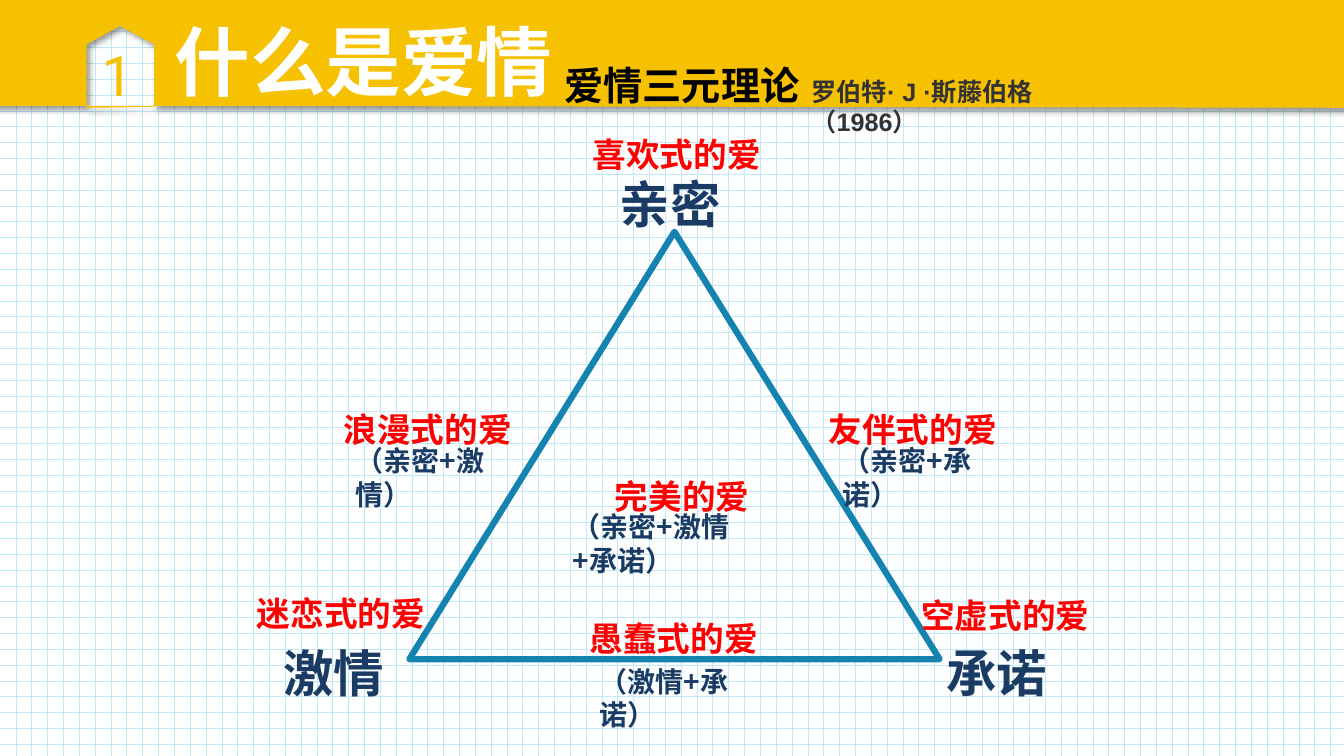
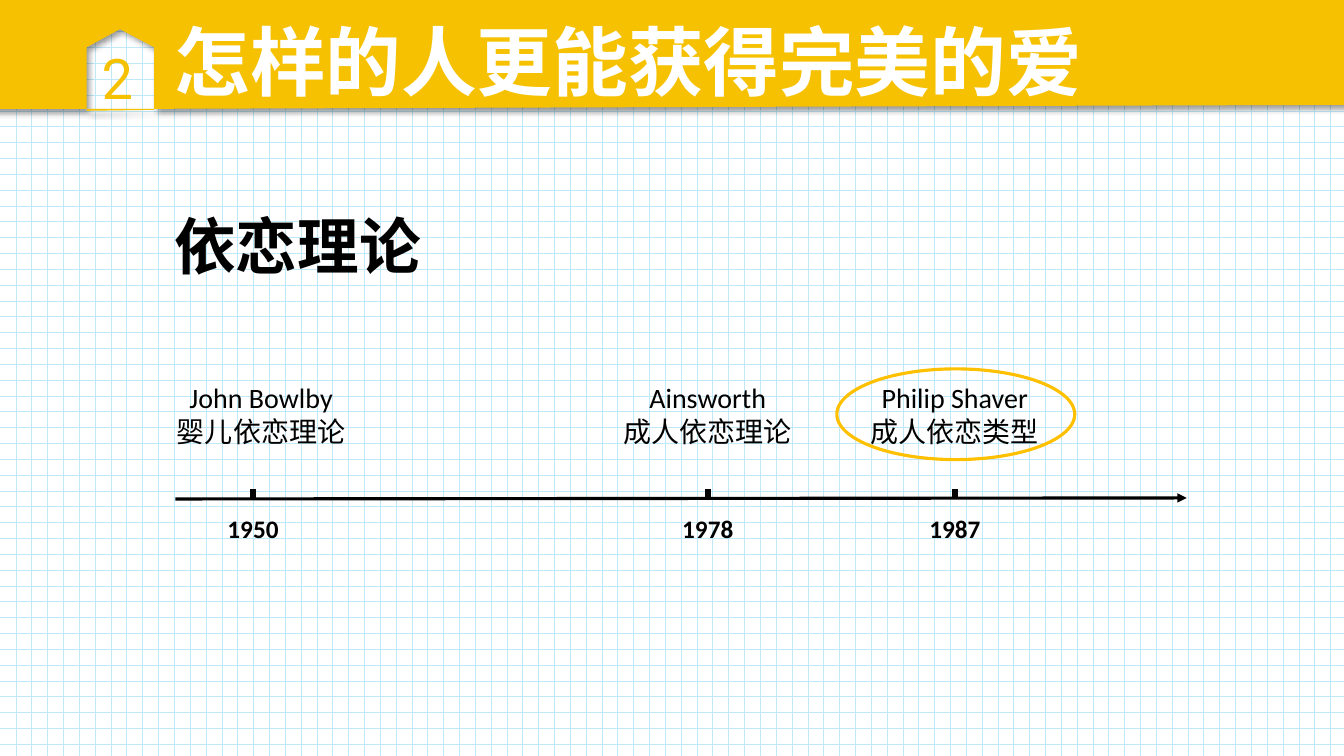
"""Build two slides on theories of love and attachment."""
import dataclasses

import pptx
import pptx.dml.color
import pptx.enum.dml
import pptx.enum.shapes
import pptx.enum.text
import pptx.oxml
import pptx.oxml.ns
import pptx.util
from lxml import etree

Inches = pptx.util.Inches
Pt = pptx.util.Pt
RGB = pptx.dml.color.RGBColor.from_string
ALIGN = pptx.enum.text.PP_ALIGN
SHAPE = pptx.enum.shapes.MSO_SHAPE
qn = pptx.oxml.ns.qn


@dataclasses.dataclass(frozen=True)
class Theme:
    band: str = "F6C100"
    grid: str = "C0E8F8"
    white: str = "FFFFFF"
    black: str = "000000"
    tick: str = "050505"
    grey: str = "333333"
    red: str = "FF0000"
    navy: str = "1A3B64"
    triangle: str = "1483B0"
    ring: str = "FFC000"
    cjk: str = "Noto Sans CJK SC"
    label: str = "Noto Sans CJK JP"
    head: str = "Arial"
    body: str = "Calibri"
    digit: str = "Roboto"
    title_size: int = 54
    heading_size: int = 44
    number_size: int = 40
    vertex_size: int = 36
    subtitle_size: int = 28
    love_size: int = 24
    text_size: int = 20
    small_size: int = 18


T = Theme()

LOVE = dict(size=T.love_size, font=T.label, color=T.red, bold=True)
VERTEX = dict(size=T.vertex_size, font=T.cjk, color=T.navy, bold=True)
MIX = dict(size=T.text_size, font=T.label, color=T.navy, bold=True)

TITLES = [("1", "什么是爱情", 1.05, 1.07), ("2", "怎样的人更能获得完美的爱", 1.08, 1.04)]

TRIANGLE_TEXTS = [
    (LOVE, 2.2, 0.47, [("喜欢式的爱", 5.78, 1.28), ("浪漫式的爱", 3.31, 4.01),
                       ("友伴式的爱", 8.12, 4.01), ("完美的爱", 6, 4.67),
                       ("迷恋式的爱", 2.45, 5.83), ("空虚式的爱", 9.04, 5.85),
                       ("愚蠢式的爱", 5.75, 6.08)]),
    (VERTEX, 1.37, 0.66, [("亲密", 6.05, 1.67), ("激情", 2.71, 6.32), ("承诺", 9.29, 6.32)]),
    (MIX, 1.64, 0.44, [("（亲密+激情）", 3.43, 4.35), ("（亲密+承诺）", 8.26, 4.35),
                       ("（激情+承诺）", 5.85, 6.54)]),
    (MIX, 1.9, 0.44, [("（亲密+激情+承诺）", 5.58, 5.01)]),
]

EVENTS = [("1950", 2.51, 2.59, ["John Bowlby", "婴儿依恋理论"]),
          ("1978", 7.02, 7.02, ["Ainsworth", "成人依恋理论"]),
          ("1987", 9.47, 9.47, ["Philip Shaver", "成人依恋类型"])]
AXIS_Y = 4.95


def put_text(s, lines, x, y, w, h, size, font, color, bold=False, align=ALIGN.LEFT, shape=None):
    sp = shape or s.shapes.add_textbox(0, 0, 0, 0)
    sp.left, sp.top, sp.width, sp.height = (Inches(v) for v in (x, y, w, h))
    tf = sp.text_frame
    tf.word_wrap = True
    tf.auto_size = pptx.enum.text.MSO_AUTO_SIZE.NONE
    tf.vertical_anchor = pptx.enum.text.MSO_ANCHOR.TOP
    for i, line in enumerate([lines] if isinstance(lines, str) else lines):
        p = tf.add_paragraph() if i else tf.paragraphs[0]
        p.alignment = align
        r = p.add_run()
        r.text = line
        r.font.size, r.font.name, r.font.bold = Pt(size), font, bold
        r.font.color.rgb = RGB(color)
    east = font if font == T.label else T.cjk
    for latin in list(sp.element.iter(qn("a:latin"))):
        ea = etree.Element(qn("a:ea"), typeface=east)
        latin.addnext(ea)
    return sp


def add_line(s, x1, y1, x2, y2, color, width):
    sp = s.shapes.add_connector(pptx.enum.shapes.MSO_CONNECTOR.STRAIGHT,
                                Inches(x1), Inches(y1), Inches(x2), Inches(y2))
    sp.line.color.rgb, sp.line.width = RGB(color), Pt(width)
    etree.SubElement(sp.element.spPr, qn("a:effectLst"))
    return sp


def add_outline(s, kind, x, y, w, h, color, width):
    sp = s.shapes.add_shape(kind, Inches(x), Inches(y), Inches(w), Inches(h))
    sp.shadow.inherit = False
    sp.fill.background()
    sp.line.color.rgb, sp.line.width = RGB(color), Pt(width)
    return sp


def add_band(s, left_y, right_y):
    contour = [(-0.27, -0.43), (13.6, -0.43), (13.6, right_y), (1.53, left_y),
               (1.53, left_y - 0.61), (1.19, left_y - 0.79), (0.86, left_y - 0.61),
               (0.86, left_y), (-0.27, left_y)]
    sill = [(0.86, left_y), (1.53, left_y), (1.53, left_y + 0.01), (0.86, left_y + 0.02)]
    contour, sill = ([(Inches(x), Inches(y)) for x, y in pts] for pts in (contour, sill))
    fb = s.shapes.build_freeform(*contour[0])
    fb.add_line_segments(contour[1:])
    fb.move_to(*sill[0])
    fb.add_line_segments(sill[1:])
    sp = fb.convert_to_shape()
    sp.fill.solid()
    sp.fill.fore_color.rgb = RGB(T.band)
    sp.line.fill.background()
    sp.shadow.inherit = False
    effects = sp.element.spPr.find(qn("a:effectLst"))
    shadow = etree.SubElement(effects, qn("a:outerShdw"), blurRad=str(Pt(4)), dist=str(Pt(3)),
                              dir="2700000", algn="tl", rotWithShape="0")
    tint = etree.SubElement(shadow, qn("a:srgbClr"), val=T.black)
    etree.SubElement(tint, qn("a:alpha"), val="40000")
    return sp


def add_titled_slide(prs, number, title, left_y, right_y):
    s = prs.slides.add_slide(prs.slide_layouts[5])
    band = add_band(s, left_y, right_y)
    s.shapes.title.element.addprevious(band.element)
    put_text(s, title, 1.63, 0.1, 0.75 * len(title) + 0.4, 1.01, T.title_size, T.head,
             T.white, bold=True, shape=s.shapes.title)
    put_text(s, number, 0.91, left_y - 0.7, 0.56, 0.77, T.number_size, T.digit, T.band)
    return s


def build_triangle(s):
    put_text(s, "罗伯特· J ·斯藤伯格（1986）", 7.95, 0.71, 2.8, 0.7,
             T.small_size, T.head, T.grey, bold=True)
    put_text(s, "爱情三元理论", 5.5, 0.56, 2.7, 0.57, T.subtitle_size, T.head, T.black, bold=True)
    add_outline(s, SHAPE.ISOSCELES_TRIANGLE, 4.06, 2.3, 5.26, 4.24, T.triangle, 4.5)
    for style, w, h, labels in TRIANGLE_TEXTS:
        for text, x, y in labels:
            put_text(s, text, x, y, w, h, **style)


def build_timeline(s):
    put_text(s, "依恋理论", 1.63, 2.01, 3, 0.84, T.heading_size, T.head, T.black, bold=True)
    axis = add_line(s, 1.74, AXIS_Y, 11.77, AXIS_Y - 0.01, T.black, 2.25)
    etree.SubElement(axis.element.spPr.find(qn("a:ln")), qn("a:tailEnd"), type="triangle")
    for year, x, name_x, names in EVENTS:
        add_line(s, x, AXIS_Y - 0.1, x, AXIS_Y, T.tick, 4.5)
        put_text(s, year, x - 0.5, 5.04, 1, 0.4, T.small_size, T.body, T.black,
                 bold=True, align=ALIGN.CENTER)
        put_text(s, names, name_x - 1.1, 3.73, 2.2, 0.77, T.text_size, T.body, T.black,
                 align=ALIGN.CENTER)
    add_outline(s, SHAPE.OVAL, 8.3, 3.66, 2.36, 0.9, T.ring, 2.25)


def main():
    prs = pptx.Presentation()
    prs.slide_width, prs.slide_height = Inches(13.33), Inches(7.5)
    fill = prs.slide_master.background.fill
    fill.patterned()
    fill.pattern = pptx.enum.dml.MSO_PATTERN.DOTTED_GRID
    fill.fore_color.rgb, fill.back_color.rgb = RGB(T.grid), RGB(T.white)
    for heading, build in zip(TITLES, (build_triangle, build_timeline)):
        build(add_titled_slide(prs, *heading))
    prs.save("out.pptx")


if __name__ == "__main__":
    main()
